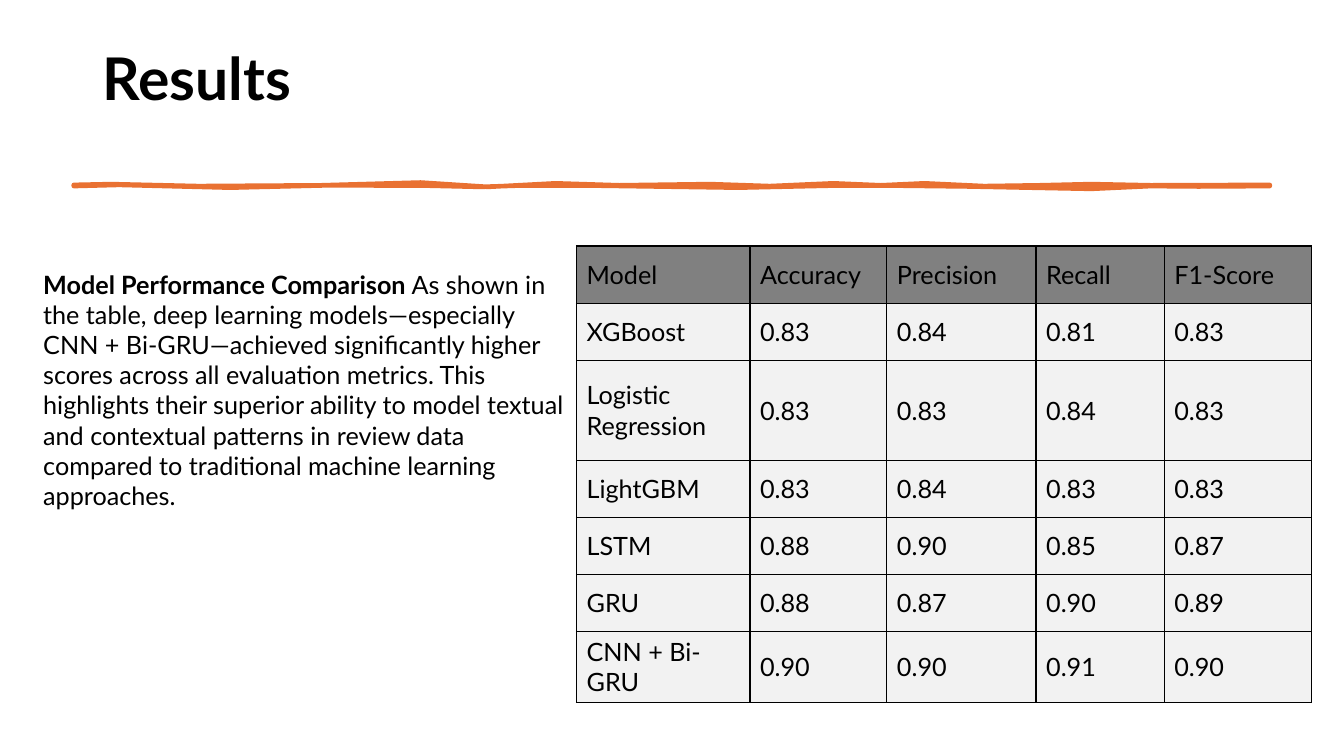
from lxml import etree
from pptx import Presentation
from pptx import util as u
from pptx.dml.color import RGBColor
from pptx.enum import text
from pptx.oxml import ns

COLORS = {"ink": "000000", "brush": "E97132", "header": "808080", "body": "F2F2F2"}
FONT = "Lato"

TITLE = "Results"
SUMMARY = [
    ("Model Performance Comparison", True),
    (" As shown in the table, deep learning models—especially CNN + Bi-GRU—achieved "
     "significantly higher scores across all evaluation metrics. This highlights their "
     "superior ability to model textual and contextual patterns in review data compared "
     "to traditional machine learning approaches.", False),
]
SCORES = [
    ("Model", "Accuracy", "Precision", "Recall", "F1-Score"),
    ("XGBoost", "0.83", "0.84", "0.81", "0.83"),
    ("Logistic Regression", "0.83", "0.83", "0.84", "0.83"),
    ("LightGBM", "0.83", "0.84", "0.83", "0.83"),
    ("LSTM", "0.88", "0.90", "0.85", "0.87"),
    ("GRU", "0.88", "0.87", "0.90", "0.89"),
    ("CNN + Bi-GRU", "0.90", "0.90", "0.91", "0.90"),
]

# All lengths below are in centimetres
TITLE_BOX = (2.34, 1.02, 29.21, 3.68)
SUMMARY_BOX = (0.84, 6.65, 13.69, 5.64)
TABLE_CORNER = (14.53, 6.2)
COLUMN_WIDTHS = (4.37, 3.45, 3.76, 3.23, 3.71)
ROW_HEIGHTS = (1.44, 1.44, 2.52, 1.44, 1.44, 1.44, 1.78)
BRUSH_TOP = [
    (1.86, 4.66), (2.8, 4.64), (5, 4.69), (8.1, 4.67), (10.6, 4.6), (12.3, 4.71),
    (14, 4.62), (15.6, 4.67), (17.9, 4.64), (19.4, 4.69), (21, 4.62), (22.2, 4.67),
    (23.3, 4.62), (24.8, 4.69), (26.2, 4.67), (27.5, 4.64), (29, 4.67), (32, 4.66),
]
BRUSH_BOTTOM = [
    (1.86, 4.69), (3, 4.66), (5.8, 4.73), (8.3, 4.67), (10.8, 4.68), (12.1, 4.71),
    (13, 4.68), (15.1, 4.68), (18.6, 4.73), (20.9, 4.68), (22.7, 4.68), (24.4, 4.7),
    (27.5, 4.76), (29, 4.69), (30.2, 4.7), (32, 4.69),
]


def rgb(name):
    return RGBColor.from_string(COLORS[name])


def write(frame, runs, *, size=18, anchor=text.MSO_ANCHOR.TOP, spacing=None):
    """Fill a text frame with one paragraph of (wording, bold) runs."""
    frame.word_wrap = True
    frame.vertical_anchor = anchor
    paragraph = frame.paragraphs[0]
    paragraph.line_spacing = spacing
    for wording, bold in runs:
        run = paragraph.add_run()
        run.text = wording
        run.font.name = FONT
        run.font.size = u.Pt(size)
        run.font.bold = bold
        run.font.color.rgb = rgb("ink")


def add_text(slide, box, runs, **style):
    frame = slide.shapes.add_textbox(*map(u.Cm, box)).text_frame
    write(frame, runs, **style)
    return frame


def add_brush_stroke(slide):
    start, *rest = [(u.Cm(x), u.Cm(y)) for x, y in BRUSH_TOP + BRUSH_BOTTOM[::-1]]
    outline = slide.shapes.build_freeform(*start)
    outline.add_line_segments(rest, close=True)
    brush = outline.convert_to_shape()
    brush.shadow.inherit = False
    brush.fill.solid()
    brush.fill.fore_color.rgb = rgb("brush")
    brush.line.color.rgb = rgb("brush")
    brush.line.width = u.Pt(3.25)


def add_borders(cell):
    properties = cell._tc.get_or_add_tcPr()
    for side in ("a:lnL", "a:lnR", "a:lnT", "a:lnB"):
        border = etree.SubElement(properties, ns.qn(side), w=str(u.Pt(1)))
        fill = etree.SubElement(border, ns.qn("a:solidFill"))
        etree.SubElement(fill, ns.qn("a:srgbClr"), val=COLORS["ink"])


def add_scores(slide):
    size = sum(COLUMN_WIDTHS), sum(ROW_HEIGHTS)
    table = slide.shapes.add_table(
        len(SCORES), len(SCORES[0]), *map(u.Cm, TABLE_CORNER + size)).table
    for column, width in zip(table.columns, COLUMN_WIDTHS):
        column.width = u.Cm(width)
    for row, height in zip(table.rows, ROW_HEIGHTS):
        row.height = u.Cm(height)
    for r, record in enumerate(SCORES):
        for c, entry in enumerate(record):
            cell = table.cell(r, c)
            add_borders(cell)
            cell.fill.solid()
            cell.fill.fore_color.rgb = rgb("body" if r else "header")
            cell.vertical_anchor = text.MSO_ANCHOR.MIDDLE
            write(cell.text_frame, [(entry, False)], anchor=None)


def main():
    deck = Presentation()
    deck.slide_width, deck.slide_height = u.Cm(33.87), u.Cm(19.05)
    slide = deck.slides.add_slide(deck.slide_layouts[6])
    title = add_text(slide, TITLE_BOX, [(TITLE, True)], size=42, spacing=0.9)
    title.margin_top = u.Cm(0.24)
    add_brush_stroke(slide)
    add_scores(slide)
    add_text(slide, SUMMARY_BOX, SUMMARY)
    deck.save("out.pptx")


if __name__ == "__main__":
    main()
